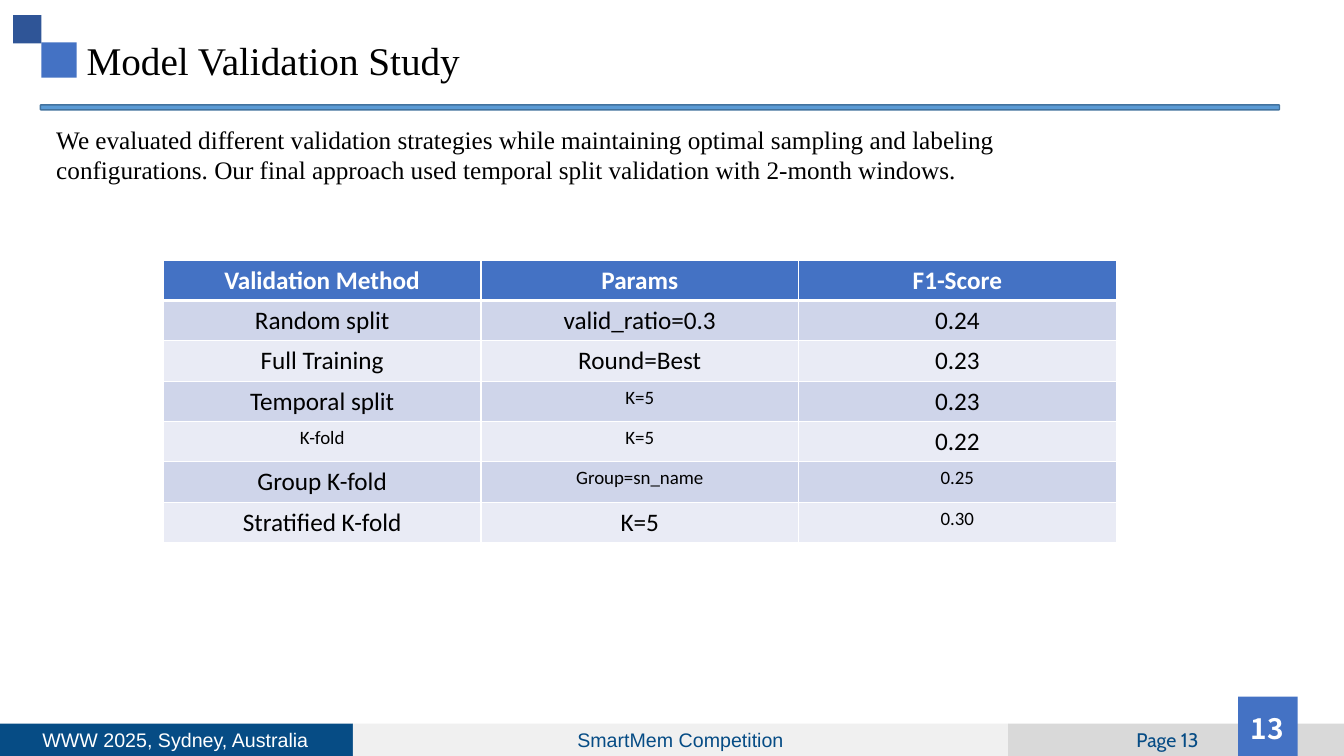
from lxml.etree import SubElement
from pptx import Presentation
from pptx.dml.color import RGBColor
from pptx.enum.shapes import MSO_SHAPE
from pptx.enum.text import MSO_ANCHOR, PP_ALIGN
from pptx.oxml.ns import qn
from pptx.util import Inches, Pt

COLORS = {
    "navy": "064C85", "blue": "4472C4", "dark_blue": "2F5597",
    "rule": "5B9BD5", "rule_edge": "43739E",
    "pale_gray": "F0F0F0", "gray": "D9D9D9",
    "band_dark": "CFD5EA", "band_light": "E9EBF5",
    "white": "FFFFFF", "black": "000000",
}


def color(name):
    return RGBColor.from_string(COLORS[name])


def write(frame, text, font, size, ink, align=PP_ALIGN.LEFT, bold=False):
    frame.text = text
    frame.word_wrap = True
    paragraph = frame.paragraphs[0]
    paragraph.alignment = align
    style = paragraph.runs[0].font
    style.name, style.size, style.bold = font, Pt(size), bold
    style.color.rgb = color(ink)


prs = Presentation()
prs.slide_width, prs.slide_height = Inches(13.33), Inches(7.5)
slide = prs.slides.add_slide(prs.slide_layouts[6])

# Footer bands, title squares, page square and title rule
blocks = {}
for part, shape_type, left, top, width, height, fill in [
    ("venue", MSO_SHAPE.RECTANGLE, 0, 7.18, 3.5, 0.32, "navy"),
    ("event", MSO_SHAPE.RECTANGLE, 3.5, 7.18, 6.5, 0.32, "pale_gray"),
    ("page", MSO_SHAPE.RECTANGLE, 10, 7.18, 3.33, 0.32, "gray"),
    ("large square", MSO_SHAPE.RECTANGLE, 0.41, 0.42, 0.35, 0.35, "blue"),
    ("small square", MSO_SHAPE.RECTANGLE, 0.13, 0.15, 0.28, 0.28, "dark_blue"),
    ("page square", MSO_SHAPE.RECTANGLE, 12.28, 6.91, 0.59, 0.59, "blue"),
    ("rule", MSO_SHAPE.ROUNDED_RECTANGLE, 0.4, 1.04, 12.29, 0.05, "rule"),
]:
    block = slide.shapes.add_shape(
        shape_type, Inches(left), Inches(top), Inches(width), Inches(height))
    block.shadow.inherit = False
    block.fill.solid()
    block.fill.fore_color.rgb = color(fill)
    block.line.fill.background()
    blocks[part] = block

blocks["rule"].line.color.rgb = color("rule_edge")
blocks["rule"].line.width = Pt(1)

event = blocks["event"].text_frame
event.vertical_anchor = MSO_ANCHOR.MIDDLE
write(event, "SmartMem Competition", "Arial", 14, "navy", PP_ALIGN.CENTER)

# Footer labels
for text, left, font, ink in [
    ("Page 13", 10.08, "Cabin", "navy"),
    ("WWW 2025, Sydney, Australia", 0.24, "Arial", "white"),
]:
    label = slide.shapes.add_textbox(
        Inches(left), Inches(7.14), Inches(3), Inches(0.4)).text_frame
    label.vertical_anchor = MSO_ANCHOR.MIDDLE
    label.margin_left = label.margin_right = Inches(0.07)
    label.margin_top = label.margin_bottom = Inches(0.04)
    write(label, text, font, 14, ink, PP_ALIGN.CENTER)

# Title, page number and introduction
title = slide.shapes.add_textbox(
    Inches(0.76), Inches(0.31), Inches(9.59), Inches(0.57))
write(title.text_frame, "Model Validation Study", "Times New Roman", 28, "black")

page_number = slide.shapes.add_textbox(
    Inches(11.81), Inches(7.01), Inches(1.52), Inches(0.4))
write(page_number.text_frame, "13", "Noto Sans CJK SC", 20, "white",
      PP_ALIGN.CENTER, bold=True)

introduction = slide.shapes.add_textbox(
    Inches(0.46), Inches(1.18), Inches(10.83), Inches(0.71))
write(introduction.text_frame,
      "We evaluated different validation strategies while maintaining optimal "
      "sampling and labeling configurations. Our final approach used temporal "
      "split validation with 2-month windows.",
      "Times New Roman", 18, "black")

# Validation results
results = [
    ("Validation Method", "Params", "F1-Score"),
    ("Random split", "valid_ratio=0.3", "0.24"),
    ("Full Training", "Round=Best", "0.23"),
    ("Temporal split", "K=5", "0.23"),
    ("K-fold", "K=5", "0.22"),
    ("Group K-fold", "Group=sn_name", "0.25"),
    ("Stratified K-fold", "K=5", "0.30"),
]
small_cells = {(3, 1), (4, 0), (4, 1), (5, 1), (5, 2), (6, 2)}

table = slide.shapes.add_table(
    len(results), 3, Inches(1.62), Inches(2.58), Inches(9.45), Inches(2.75)).table
for column in table.columns:
    column.width = Inches(3.15)

for r, result in enumerate(results):
    is_header = r == 0
    table.rows[r].height = Inches(0.38 if is_header else 0.39)
    band = "blue" if is_header else "band_dark" if r % 2 else "band_light"
    for c, text in enumerate(result):
        cell = table.cell(r, c)
        write(cell.text_frame, text, "Calibri",
              13.5 if (r, c) in small_cells else 18,
              "white" if is_header else "black", PP_ALIGN.CENTER, is_header)
        # White borders, heavier between the header and the first row
        properties = cell._tc.get_or_add_tcPr()
        for side in ("lnL", "lnR", "lnT", "lnB"):
            heavy = (r, side) in {(0, "lnB"), (1, "lnT")}
            border = SubElement(properties, qn(f"a:{side}"),
                                w=str(Pt(3 if heavy else 1)))
            border_fill = SubElement(border, qn("a:solidFill"))
            SubElement(border_fill, qn("a:srgbClr"), val=COLORS["white"])
        cell.fill.solid()
        cell.fill.fore_color.rgb = color(band)

prs.save("out.pptx")
